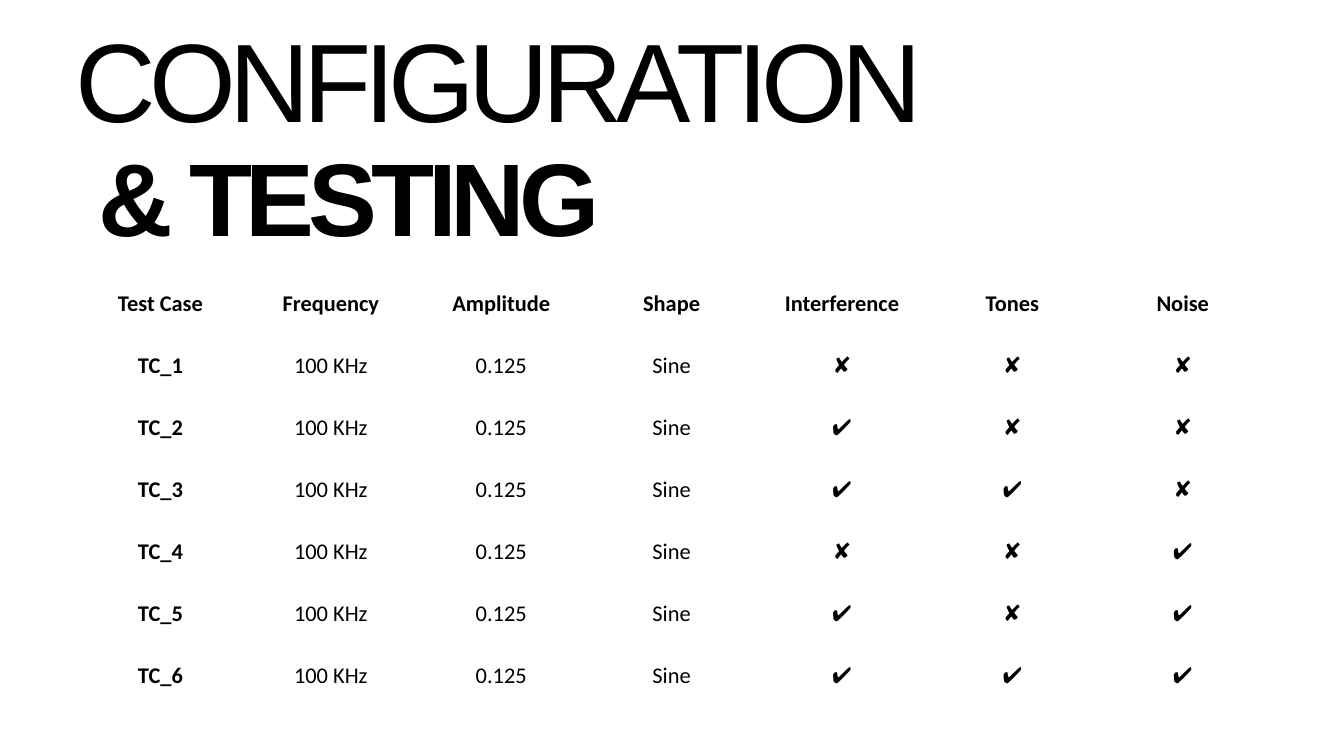
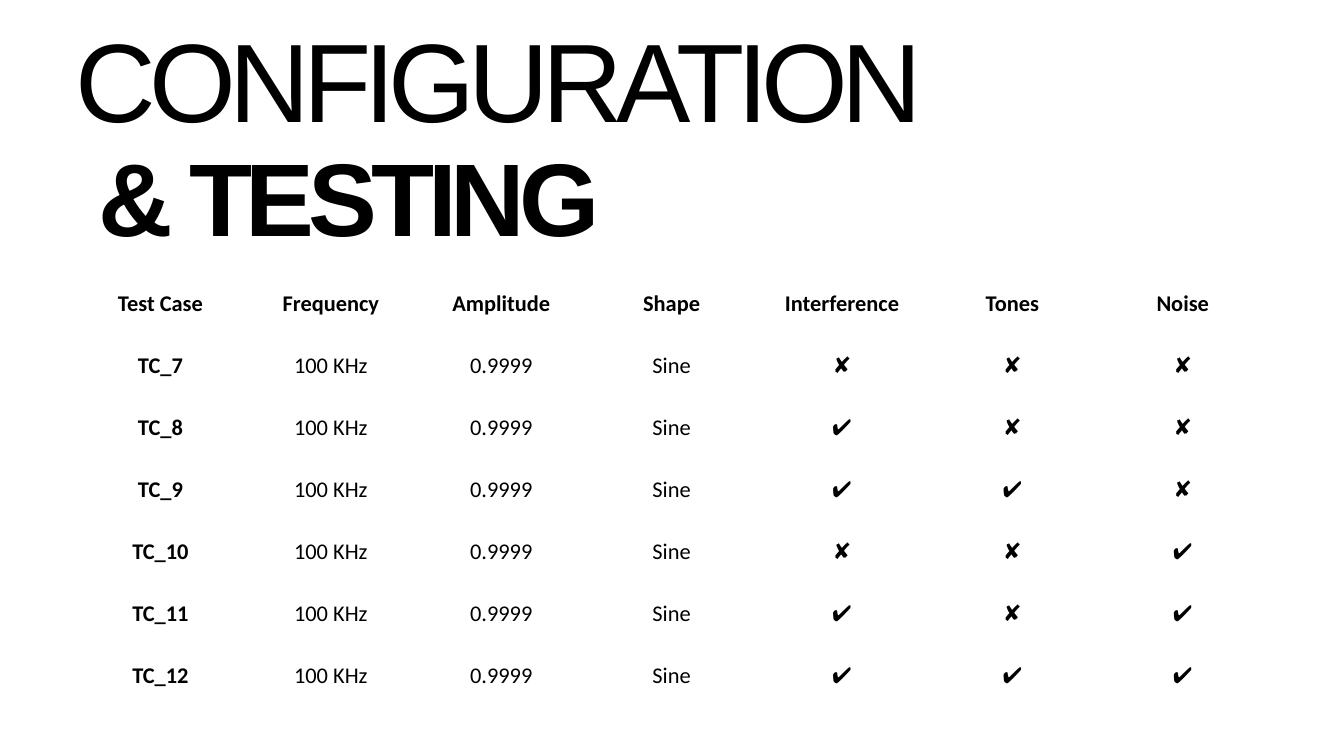
from dataclasses import dataclass

import pptx
import pptx.dml.color
import pptx.enum.text
import pptx.shapes.base
import pptx.slide
import pptx.text.text
import pptx.util

WIDTH, HEIGHT = pptx.util.Inches(20), pptx.util.Inches(11.25)
COLORS = {"text": "000000", "page": "FFFFFF"}
TITLE_FONT, TABLE_FONT = "Arial", "Calibri"
TITLE_ONLY = 5
LEFT = 5.6
HEADS = ("Test Case", "Frequency", "Amplitude", "Shape",
         "Interference", "Tones", "Noise")
MARKS = ("✘✘✘", "✔✘✘", "✔✔✘", "✘✘✔", "✔✘✔", "✔✔✔")


@dataclass(frozen=True)
class Box:
    """Place and size in percent of the slide."""
    left: float
    top: float
    width: float
    height: float

    def lengths(self) -> tuple[int, int, int, int]:
        return (round(WIDTH * self.left / 100), round(HEIGHT * self.top / 100),
                round(WIDTH * self.width / 100), round(HEIGHT * self.height / 100))


@dataclass(frozen=True)
class Heading:
    text: str
    size: float
    leading: float
    tracking: float
    bold: bool = False
    indent: float = 0


@dataclass(frozen=True)
class TestSet:
    first: int
    level: str
    title_width: float


TITLE = Heading("CONFIGURATION", 119.5, 102.7, -7.2)
SUBTITLE = Heading("& TESTING", 110.6, 95.1, -6.6, bold=True, indent=0.34)
SUBTITLE_BOX = Box(LEFT, 22.22, 50.95, 13.87)
TABLE_BOX = Box(LEFT, 36.09, 88.75, 57.42)
TEST_SETS = (TestSet(1, "0.125", 72.3), TestSet(7, "0.9999", 74.75))


def style_font(font: pptx.text.text.Font, name: str, size: float, bold: bool) -> None:
    font.name, font.size, font.bold = name, pptx.util.Pt(size), bold
    font.color.rgb = pptx.dml.color.RGBColor.from_string(COLORS["text"])


def write_heading(shape: pptx.shapes.base.BaseShape, heading: Heading, box: Box) -> None:
    frame = shape.text_frame
    frame.text = heading.text
    frame.word_wrap = True
    frame.auto_size = pptx.enum.text.MSO_AUTO_SIZE.SHAPE_TO_FIT_TEXT
    frame.vertical_anchor = pptx.enum.text.MSO_ANCHOR.TOP
    frame.margin_top = frame.margin_right = frame.margin_bottom = 0
    frame.margin_left = pptx.util.Inches(heading.indent)
    line = frame.paragraphs[0]
    line.alignment = pptx.enum.text.PP_ALIGN.JUSTIFY
    line.line_spacing = pptx.util.Pt(heading.leading)
    run = line.runs[0]
    style_font(run.font, TITLE_FONT, heading.size, heading.bold)
    run._r.get_or_add_rPr().set("spc", str(round(heading.tracking * 100)))
    shape.left, shape.top, shape.width, shape.height = box.lengths()


def add_tests(slide: pptx.slide.Slide, tests: TestSet) -> None:
    rows = [HEADS] + [
        (f"TC_{number}", "100 KHz", tests.level, "Sine", *marks)
        for number, marks in enumerate(MARKS, tests.first)
    ]
    table = slide.shapes.add_table(len(rows), len(HEADS), *TABLE_BOX.lengths()).table
    table.horz_banding = False
    table.first_row = False
    for row, texts in enumerate(rows):
        for column, text in enumerate(texts):
            cell = table.cell(row, column)
            cell.fill.background()
            cell.vertical_anchor = pptx.enum.text.MSO_ANCHOR.MIDDLE
            cell.text_frame.text = text
            line = cell.text_frame.paragraphs[0]
            line.alignment = pptx.enum.text.PP_ALIGN.CENTER
            style_font(line.runs[0].font, TABLE_FONT, 24, row == 0 or column == 0)


def main() -> None:
    deck = pptx.Presentation()
    deck.slide_width, deck.slide_height = WIDTH, HEIGHT
    for tests in TEST_SETS:
        slide = deck.slides.add_slide(deck.slide_layouts[TITLE_ONLY])
        page = slide.background.fill
        page.solid()
        page.fore_color.rgb = pptx.dml.color.RGBColor.from_string(COLORS["page"])
        write_heading(slide.shapes.title, TITLE, Box(LEFT, 6.49, tests.title_width, 15.11))
        second = slide.shapes.add_textbox(*SUBTITLE_BOX.lengths())
        write_heading(second, SUBTITLE, SUBTITLE_BOX)
        add_tests(slide, tests)
    deck.save("out.pptx")


if __name__ == "__main__":
    main()
